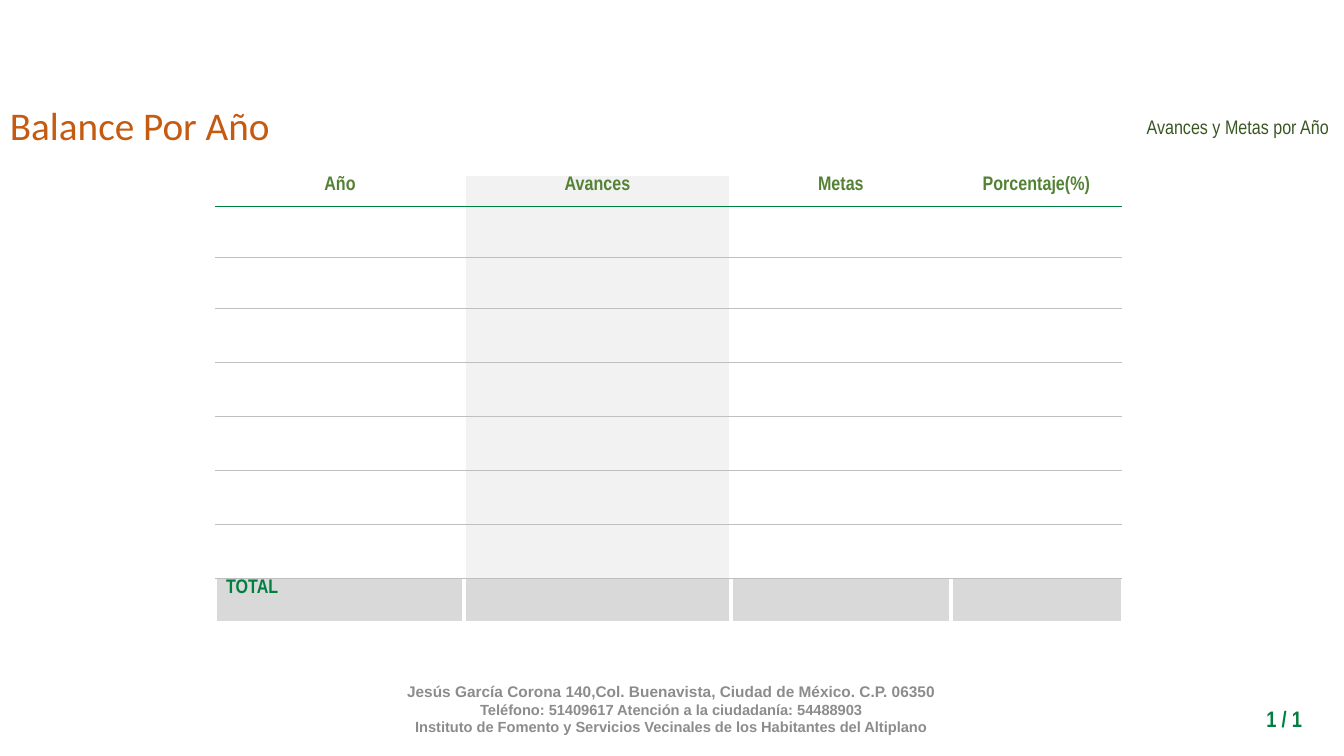
from lxml import etree
from pptx import Presentation, util as u
from pptx.dml.color import RGBColor
from pptx.enum import text
from pptx.oxml.ns import qn

PX = 914400 / 100.8
GREEN = RGBColor(0x00, 0x80, 0x40)
HEADING_GREEN = RGBColor(0x54, 0x82, 0x35)
DARK_GREEN = RGBColor(0x38, 0x57, 0x23)
ORANGE = RGBColor(0xC5, 0x5A, 0x11)
FOOTER_GREY = RGBColor(0x8C, 0x8C, 0x8C)
RULE_GREY = RGBColor(0xBF, 0xBF, 0xBF)
COLUMN_GREY = RGBColor(0xF2, 0xF2, 0xF2)
TOTAL_GREY = RGBColor(0xD9, 0xD9, 0xD9)
WHITE = RGBColor(0xFF, 0xFF, 0xFF)

LEFT, CENTER, RIGHT = text.PP_ALIGN.LEFT, text.PP_ALIGN.CENTER, text.PP_ALIGN.RIGHT
TOP, MIDDLE = text.MSO_ANCHOR.TOP, text.MSO_ANCHOR.MIDDLE


def px(length):
    return u.Emu(round(length * PX))


def write(frame, words, size, color, font="Arial Narrow", bold=False,
          align=LEFT, spacing=None, new=False):
    paragraph = frame.add_paragraph() if new else frame.paragraphs[0]
    paragraph.alignment = align
    if spacing:
        paragraph.line_spacing = spacing
    run = paragraph.add_run()
    run.text = words
    run.font.size = u.Pt(size)
    run.font.name = font
    run.font.bold = bold
    run.font.color.rgb = color


def text_frame(slide, box, anchor=TOP, wrap=True):
    frame = slide.shapes.add_textbox(*map(px, box)).text_frame
    frame.word_wrap = wrap
    frame.vertical_anchor = anchor
    return frame


def set_borders(cell, borders):
    properties = cell._tc.get_or_add_tcPr()
    for order, (side, color, width) in enumerate(borders):
        line = etree.Element(qn(f"a:ln{side}"), w=str(u.Pt(width)))
        fill = etree.SubElement(line, qn("a:solidFill"))
        etree.SubElement(fill, qn("a:srgbClr"), val=str(color))
        properties.insert(order, line)


def add_heading(slide, box):
    left, top, width, height = box
    title = text_frame(slide, (left, top + 19, 283, 57), wrap=False)
    write(title, "Balance Por Año", 28, ORANGE, font="Calibri")
    subtitle = text_frame(slide, (left + width - 609, top, 609, height), MIDDLE)
    write(subtitle, "Avances y Metas por Año", 14, DARK_GREEN, align=RIGHT, spacing=1.15)


def add_balance(slide, box):
    headings = ["Año", "Avances", "Metas", "Porcentaje(%)"]
    column_widths = [248, 267, 220, 171]
    row_heights = [31] + [51] * 2 + [54] * 5 + [45]
    total_row, last_column = len(row_heights) - 1, len(headings) - 1
    balance = slide.shapes.add_table(
        len(row_heights), len(headings), *map(px, box)).table
    balance.first_row = balance.horz_banding = False
    for column, width in zip(balance.columns, column_widths):
        column.width = px(width)
    row_rules = [(GREEN, 0.25)] + [(RULE_GREY, 0.5)] * (total_row - 1) + [(WHITE, 3)]

    for r, height in enumerate(row_heights):
        balance.rows[r].height = px(height)
        for c, heading in enumerate(headings):
            cell = balance.cell(r, c)
            cell.margin_top = cell.margin_bottom = px(1)
            if r == total_row or c == 1:
                cell.fill.solid()
                cell.fill.fore_color.rgb = TOTAL_GREY if r == total_row else COLUMN_GREY
            else:
                cell.fill.background()
            borders = []
            if c > 0:
                borders.append(("L", WHITE, 3))
            if c < last_column:
                borders.append(("R", WHITE, 3))
            if r > 0:
                borders.append(("T", *row_rules[r - 1]))
            borders.append(("B", *row_rules[r]))
            set_borders(cell, borders)
            if r == 0:
                write(cell.text_frame, heading, 14, HEADING_GREEN, bold=True, align=CENTER)
    write(balance.cell(total_row, 0).text_frame, "TOTAL", 14, GREEN, bold=True)


def add_footer(slide, box):
    left, top, width, height = box
    address = text_frame(slide, (left + 290, top, 763, height), MIDDLE)
    address.margin_top = address.margin_bottom = 0
    lines = [
        ("Jesús García Corona 140,Col. Buenavista, Ciudad de México. C.P. 06350", 11),
        ("Teléfono: 51409617 Atención a la ciudadanía: 54488903", 10.5),
        ("Instituto de Fomento y Servicios Vecinales de los Habitantes del Altiplano", 10.5),
    ]
    for number, (words, size) in enumerate(lines):
        write(address, words, size, FOOTER_GREY, font="Arial", bold=True,
              align=CENTER, new=number > 0)
    page = text_frame(slide, (left + width - 159, top + 18, 127, 37))
    write(page, "1 / 1", 16, GREEN, bold=True, align=RIGHT)


deck = Presentation()
deck.slide_width, deck.slide_height = px(1344), px(756)
balance_slide = deck.slides.add_slide(deck.slide_layouts[6])
add_footer(balance_slide, (0, 682, 1344, 54))
add_balance(balance_slide, (216, 175, 906, 448))
add_heading(balance_slide, (0, 77, 1339, 96))
deck.save("out.pptx")
